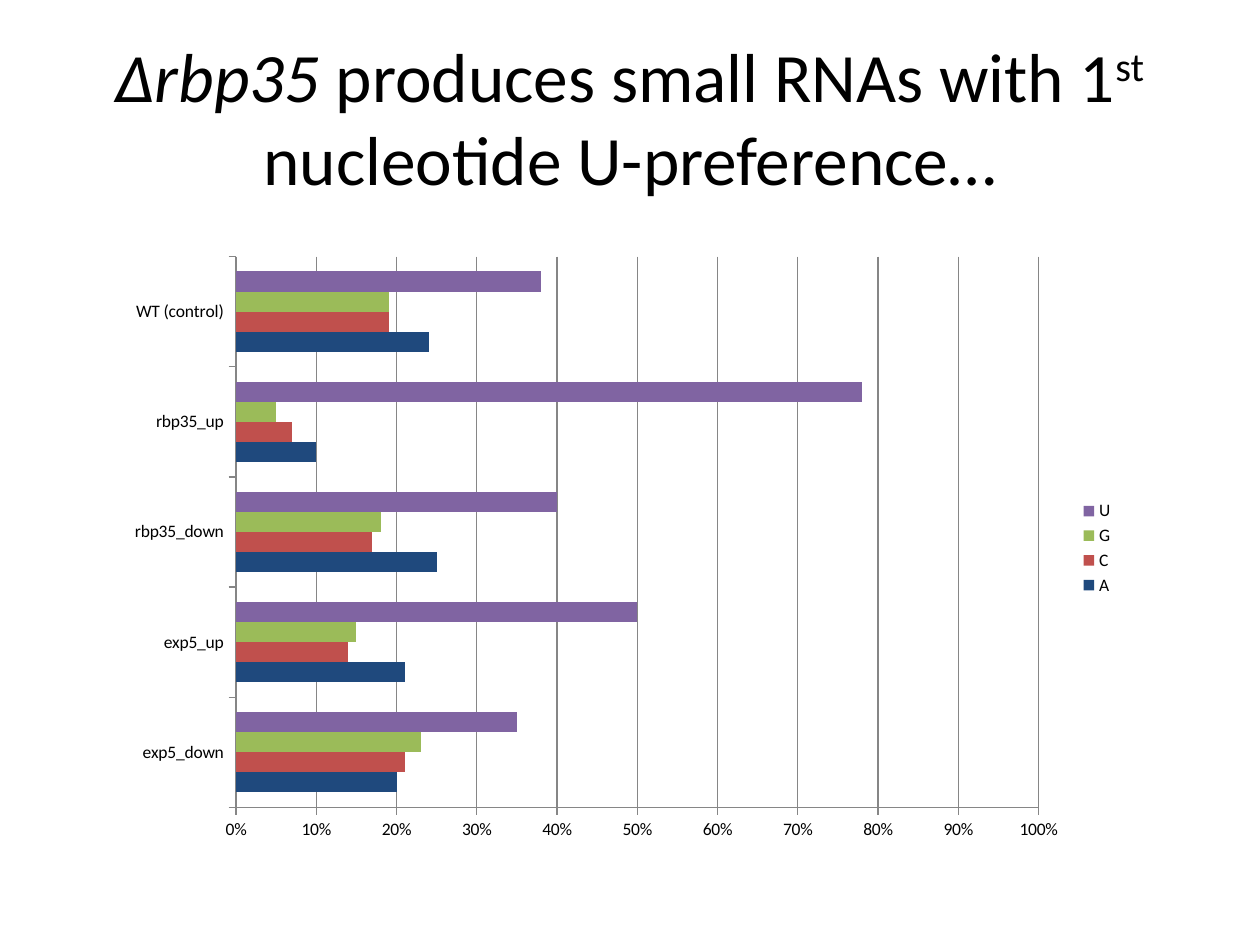
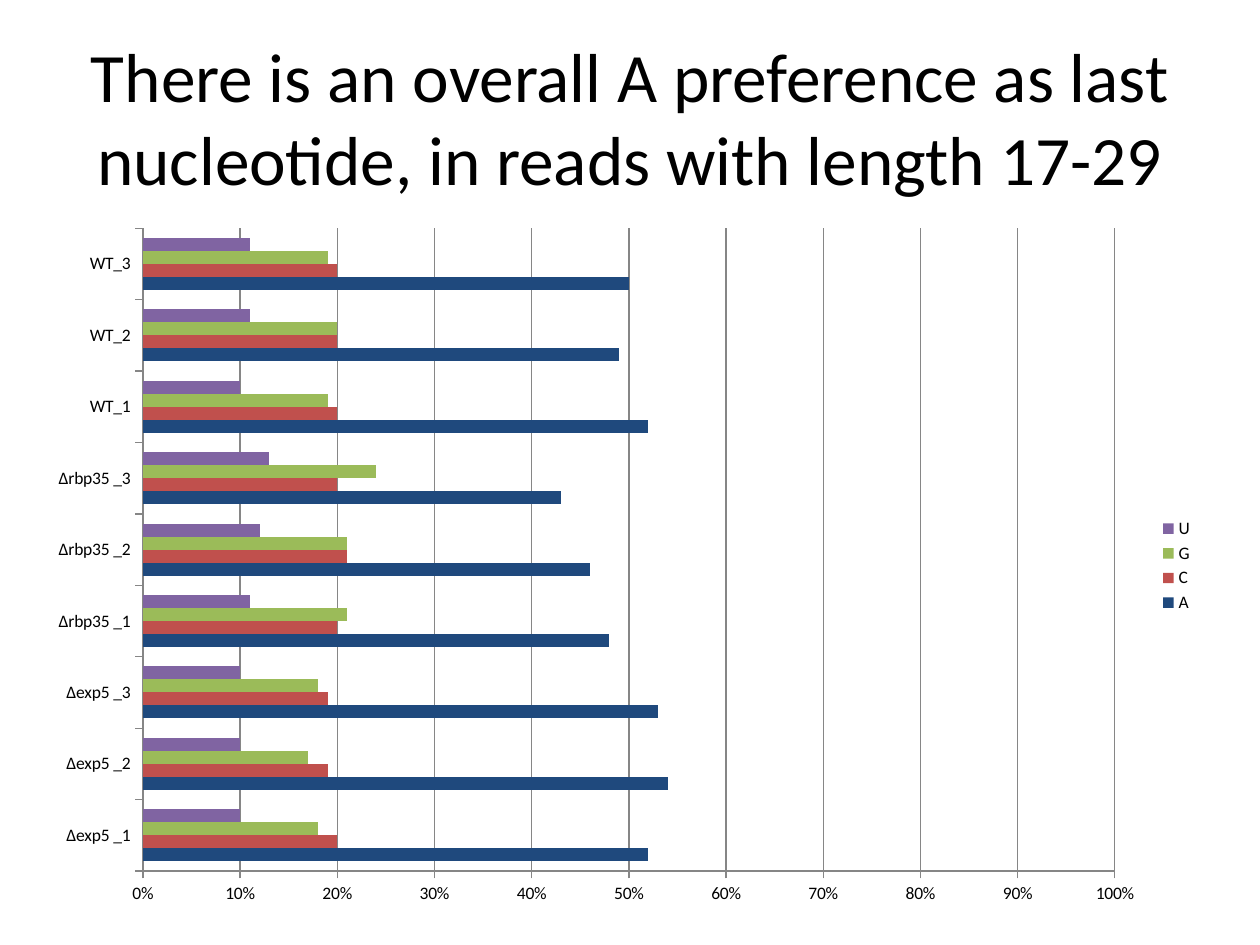
from dataclasses import dataclass

from pptx import Presentation
from pptx.chart.data import CategoryChartData
from pptx.dml.color import RGBColor
from pptx.enum.chart import XL_CHART_TYPE, XL_LEGEND_POSITION, XL_TICK_MARK
from pptx.enum.text import MSO_ANCHOR, MSO_AUTO_SIZE, PP_ALIGN
from pptx.util import Inches, Pt


@dataclass(frozen=True)
class Theme:
    font: str = "Calibri"
    title_size: float = 39.6
    chart_size: float = 10
    line_width: float = 0.75
    text: RGBColor = RGBColor(0, 0, 0)
    axis: RGBColor = RGBColor(0x86, 0x86, 0x86)
    nucleotides: tuple = (
        ("A", RGBColor(0x1F, 0x49, 0x7D)),
        ("C", RGBColor(0xC0, 0x50, 0x4D)),
        ("G", RGBColor(0x9B, 0xBB, 0x59)),
        ("U", RGBColor(0x80, 0x64, 0xA2)),
    )


THEME = Theme()
TITLE_ONLY = 5

FIRST_NUCLEOTIDE = {
    "exp5_down": (0.20, 0.21, 0.23, 0.35),
    "exp5_up": (0.21, 0.14, 0.15, 0.50),
    "rbp35_down": (0.25, 0.17, 0.18, 0.40),
    "rbp35_up": (0.10, 0.07, 0.05, 0.78),
    "WT (control)": (0.24, 0.19, 0.19, 0.38),
}

LAST_NUCLEOTIDE = {
    "∆exp5 _1": (0.52, 0.20, 0.18, 0.10),
    "∆exp5 _2": (0.54, 0.19, 0.17, 0.10),
    "∆exp5 _3": (0.53, 0.19, 0.18, 0.10),
    "∆rbp35 _1": (0.48, 0.20, 0.21, 0.11),
    "∆rbp35 _2": (0.46, 0.21, 0.21, 0.12),
    "∆rbp35 _3": (0.43, 0.20, 0.24, 0.13),
    "WT_1": (0.52, 0.20, 0.19, 0.10),
    "WT_2": (0.49, 0.20, 0.20, 0.11),
    "WT_3": (0.50, 0.20, 0.19, 0.11),
}


def style_font(font, size):
    font.name = THEME.font
    font.size = Pt(size)
    font.color.rgb = THEME.text


def style_line(line):
    line.color.rgb = THEME.axis
    line.width = Pt(THEME.line_width)


def add_title(slide, *parts):
    title = slide.shapes.title
    title.left, title.top = Inches(0.5), Inches(0.3)
    title.width, title.height = Inches(9), Inches(1.25)
    frame = title.text_frame
    frame.auto_size = MSO_AUTO_SIZE.NONE
    frame.word_wrap = True
    frame.vertical_anchor = MSO_ANCHOR.MIDDLE
    heading = frame.paragraphs[0]
    heading.alignment = PP_ALIGN.CENTER
    for words, emphasis in parts:
        run = heading.add_run()
        run.text = words
        style_font(run.font, THEME.title_size)
        if emphasis == "italic":
            run.font.italic = True
        elif emphasis == "superscript":
            run._r.get_or_add_rPr().set("baseline", "30000")


def add_preference_chart(slide, shares_by_sample, left, top, width, height):
    shares = CategoryChartData(number_format="0%")
    shares.categories = list(shares_by_sample)
    for (nucleotide, _), values in zip(THEME.nucleotides, zip(*shares_by_sample.values())):
        shares.add_series(nucleotide, values)
    chart = slide.shapes.add_chart(
        XL_CHART_TYPE.BAR_CLUSTERED,
        Inches(left), Inches(top), Inches(width), Inches(height), shares,
    ).chart
    style_font(chart.font, THEME.chart_size)
    chart.has_title = False
    chart.has_legend = True
    chart.legend.position = XL_LEGEND_POSITION.RIGHT
    chart.legend.include_in_layout = False

    bars = chart.plots[0]
    bars.gap_width = 150
    bars.vary_by_categories = False
    for series, (_, color) in zip(bars.series, THEME.nucleotides):
        series.format.fill.solid()
        series.format.fill.fore_color.rgb = color
        series.invert_if_negative = False

    for axis in (chart.category_axis, chart.value_axis):
        axis.major_tick_mark = XL_TICK_MARK.OUTSIDE
        axis.minor_tick_mark = XL_TICK_MARK.NONE
        style_line(axis.format.line)
    percent = chart.value_axis
    percent.minimum_scale, percent.maximum_scale = 0, 1
    percent.major_unit = 0.1
    percent.tick_labels.number_format = "0%"
    percent.tick_labels.number_format_is_linked = False
    percent.has_major_gridlines = True
    style_line(percent.major_gridlines.format.line)


def main():
    deck = Presentation()
    deck.slide_width, deck.slide_height = Inches(10), Inches(7.5)
    layout = deck.slide_layouts[TITLE_ONLY]

    first = deck.slides.add_slide(layout)
    add_title(
        first,
        ("∆rbp35 ", "italic"),
        ("produces small RNAs with 1", None),
        ("st", "superscript"),
        (" nucleotide U-preference…", None),
    )
    add_preference_chart(first, FIRST_NUCLEOTIDE, 0.91, 1.94, 8.03, 4.82)

    last = deck.slides.add_slide(layout)
    add_title(
        last,
        ("There is an overall A preference as last nucleotide, in reads with length 17-29", None),
    )
    add_preference_chart(last, LAST_NUCLEOTIDE, 0.28, 1.7, 9.29, 5.58)

    deck.save("out.pptx")


if __name__ == "__main__":
    main()
